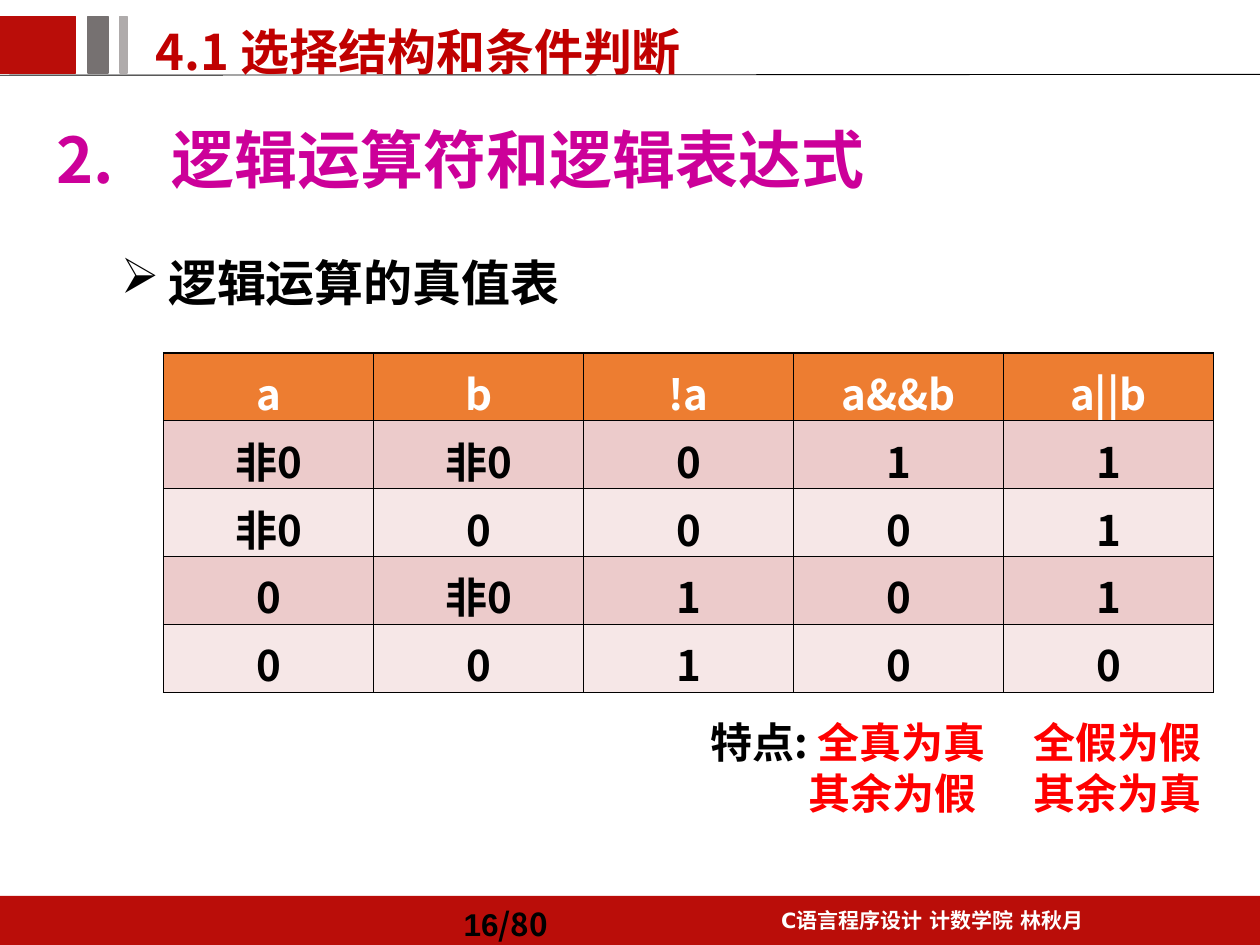
from dataclasses import dataclass

import pptx
import pptx.dml.color
import pptx.enum.shapes
import pptx.enum.text
import pptx.oxml.ns
import pptx.util
from lxml import etree

Pt = pptx.util.Pt
ALIGN = pptx.enum.text.PP_ALIGN
ANCHOR = pptx.enum.text.MSO_ANCHOR
qn = pptx.oxml.ns.qn

SANS = "Noto Sans CJK SC"
COLORS = {
    "red": "BA0D09",
    "dark_gray": "767171",
    "light_gray": "AFABAB",
    "heading": "C00000",
    "title": "CC0099",
    "highlight": "FF0000",
    "black": "000000",
    "white": "FFFFFF",
    "table_header": "ED7D31",
    "odd_row": "ECCBCB",
    "even_row": "F6E7E7",
}


@dataclass
class Block:
    left: float
    top: float
    width: float
    height: float
    color: str
    outlined: bool = True


@dataclass
class Run:
    text: str
    color: str
    size: float
    font: str = SANS


@dataclass
class TextBox:
    left: float
    top: float
    width: float
    height: float
    lines: list[list[Run]]
    align: ALIGN = ALIGN.LEFT
    spacing: float = 1.0
    anchor: ANCHOR = ANCHOR.TOP


def rgb(name: str) -> pptx.dml.color.RGBColor:
    return pptx.dml.color.RGBColor.from_string(COLORS[name])


def format_run(run, style: Run) -> None:
    run.font.size = Pt(style.size)
    run.font.bold = True
    run.font.name = style.font
    run.font.color.rgb = rgb(style.color)
    latin = run.font._element.find(qn("a:latin"))
    east_asian = etree.Element(qn("a:ea"), typeface=style.font)
    latin.addnext(east_asian)


def fill_paragraph(paragraph, runs: list[Run]) -> None:
    for style in runs:
        run = paragraph.add_run()
        run.text = style.text
        format_run(run, style)


def set_bullet(paragraph, indent: float, tag: str, **attributes: str) -> None:
    properties = paragraph._p.get_or_add_pPr()
    properties.set("marL", str(Pt(indent)))
    properties.set("indent", str(-Pt(indent)))
    etree.SubElement(properties, qn(tag), **attributes)


def draw_block(slide, block: Block) -> None:
    shape = slide.shapes.add_shape(
        pptx.enum.shapes.MSO_SHAPE.RECTANGLE,
        Pt(block.left), Pt(block.top), Pt(block.width), Pt(block.height))
    shape.shadow.inherit = False
    shape.fill.solid()
    shape.fill.fore_color.rgb = rgb(block.color)
    if block.outlined:
        shape.line.color.rgb = rgb(block.color)
        shape.line.width = Pt(1)
    else:
        shape.line.fill.background()


def draw_text(slide, box: TextBox):
    shape = slide.shapes.add_textbox(
        Pt(box.left), Pt(box.top), Pt(box.width), Pt(box.height))
    frame = shape.text_frame
    frame.word_wrap = True
    frame.vertical_anchor = box.anchor
    for index, runs in enumerate(box.lines):
        paragraph = frame.add_paragraph() if index else frame.paragraphs[0]
        paragraph.alignment = box.align
        paragraph.line_spacing = box.spacing
        fill_paragraph(paragraph, runs)
    return shape


def draw_rule(slide) -> None:
    rule = slide.shapes.add_connector(
        pptx.enum.shapes.MSO_CONNECTOR.STRAIGHT, Pt(0), Pt(43), Pt(720), Pt(42.5))
    rule.line.color.rgb = rgb("black")
    rule.line.width = Pt(0.5)
    etree.SubElement(rule._element.spPr, qn("a:effectLst"))


def set_borders(cell) -> None:
    properties = cell._tc.get_or_add_tcPr()
    for position, side in enumerate(("lnL", "lnR", "lnT", "lnB")):
        line = etree.Element(qn(f"a:{side}"), w=str(Pt(1)))
        fill = etree.SubElement(line, qn("a:solidFill"))
        etree.SubElement(fill, qn("a:srgbClr"), val=COLORS["black"])
        properties.insert(position, line)


def draw_truth_table(slide, rows: list[list[str]]) -> None:
    column_width, row_height = 120, 38.4
    table = slide.shapes.add_table(
        len(rows), len(rows[0]), Pt(93.5), Pt(201.6),
        Pt(column_width * len(rows[0])), Pt(row_height * len(rows))).table
    for column in table.columns:
        column.width = Pt(column_width)
    for row_index, texts in enumerate(rows):
        table.rows[row_index].height = Pt(row_height)
        fill = "odd_row" if row_index % 2 else "even_row"
        if row_index == 0:
            fill = "table_header"
        text_color = "black" if row_index else "white"
        for column_index, text in enumerate(texts):
            cell = table.cell(row_index, column_index)
            cell.margin_left = cell.margin_right = Pt(9.4)
            cell.margin_top = cell.margin_bottom = Pt(5)
            cell.fill.solid()
            cell.fill.fore_color.rgb = rgb(fill)
            set_borders(cell)
            paragraph = cell.text_frame.paragraphs[0]
            paragraph.alignment = ALIGN.CENTER
            fill_paragraph(paragraph, [Run(text, text_color, 24)])


def draw_title(slide) -> None:
    title = slide.shapes.title
    title.left, title.top, title.width, title.height = Pt(25), Pt(65.5), Pt(630), Pt(50.4)
    frame = title.text_frame
    frame.auto_size = pptx.enum.text.MSO_AUTO_SIZE.NONE
    frame.vertical_anchor = ANCHOR.BOTTOM
    paragraph = frame.paragraphs[0]
    paragraph.text = "逻辑运算符和逻辑表达式"
    paragraph.alignment = ALIGN.LEFT
    set_bullet(paragraph, 66, "a:buAutoNum", type="arabicPeriod", startAt="2")
    format_run(paragraph.runs[0], Run(paragraph.text, "title", 36))


BLOCKS = [
    Block(0, 512, 720, 28, "red", outlined=False),
    Block(0, 9.4, 43.2, 32.4, "red"),
    Block(50.4, 9.4, 11.5, 32.4, "dark_gray"),
    Block(68.4, 9.4, 4.3, 32.4, "light_gray"),
]
FRAME_TEXTS = [
    TextBox(405.4, 512, 255, 24.5,
            [[Run("C语言程序设计 计数学院 林秋月", "white", 12, "DejaVu Sans")]],
            ALIGN.CENTER, 1.2),
    TextBox(257.8, 512, 102, 28,
            [[Run("16", "black", 18, "Arial"), Run("/80", "black", 18)]],
            spacing=1.2, anchor=ANCHOR.MIDDLE),
    TextBox(82, 2.2, 346, 48, [[Run("4.1 选择结构和条件判断", "heading", 28)]], spacing=1.2),
]
SUBHEADING = TextBox(62, 134, 343.4, 50.4,
                     [[Run("逻辑运算的真值表", "black", 28)]], spacing=1.2)
NOTES = [
    TextBox(337.7, 406, 232.6, 65.5,
            [[Run("特点: ", "black", 24), Run("全真为真", "highlight", 24)],
             [Run("其余为假 ", "highlight", 24)]], ALIGN.RIGHT),
    TextBox(463.7, 406, 229.7, 65.5,
            [[Run("全假为假", "highlight", 24)],
             [Run("其余为真", "highlight", 24)]], ALIGN.RIGHT),
]
TRUTH_TABLE = [
    ["a", "b", "!a", "a&&b", "a||b"],
    ["非0", "非0", "0", "1", "1"],
    ["非0", "0", "0", "0", "1"],
    ["0", "非0", "1", "0", "1"],
    ["0", "0", "1", "0", "0"],
]


def main() -> None:
    presentation = pptx.Presentation()
    presentation.slide_width, presentation.slide_height = Pt(720), Pt(540)
    slide = presentation.slides.add_slide(presentation.slide_layouts[5])
    # Header and footer
    for block in BLOCKS:
        draw_block(slide, block)
    draw_rule(slide)
    for box in FRAME_TEXTS:
        draw_text(slide, box)
    # Title and subheading
    draw_title(slide)
    subheading = draw_text(slide, SUBHEADING)
    set_bullet(subheading.text_frame.paragraphs[0], 27, "a:buChar", char="➢")
    # Truth table and notes
    draw_truth_table(slide, TRUTH_TABLE)
    for box in NOTES:
        draw_text(slide, box)
    presentation.save("out.pptx")


if __name__ == "__main__":
    main()
